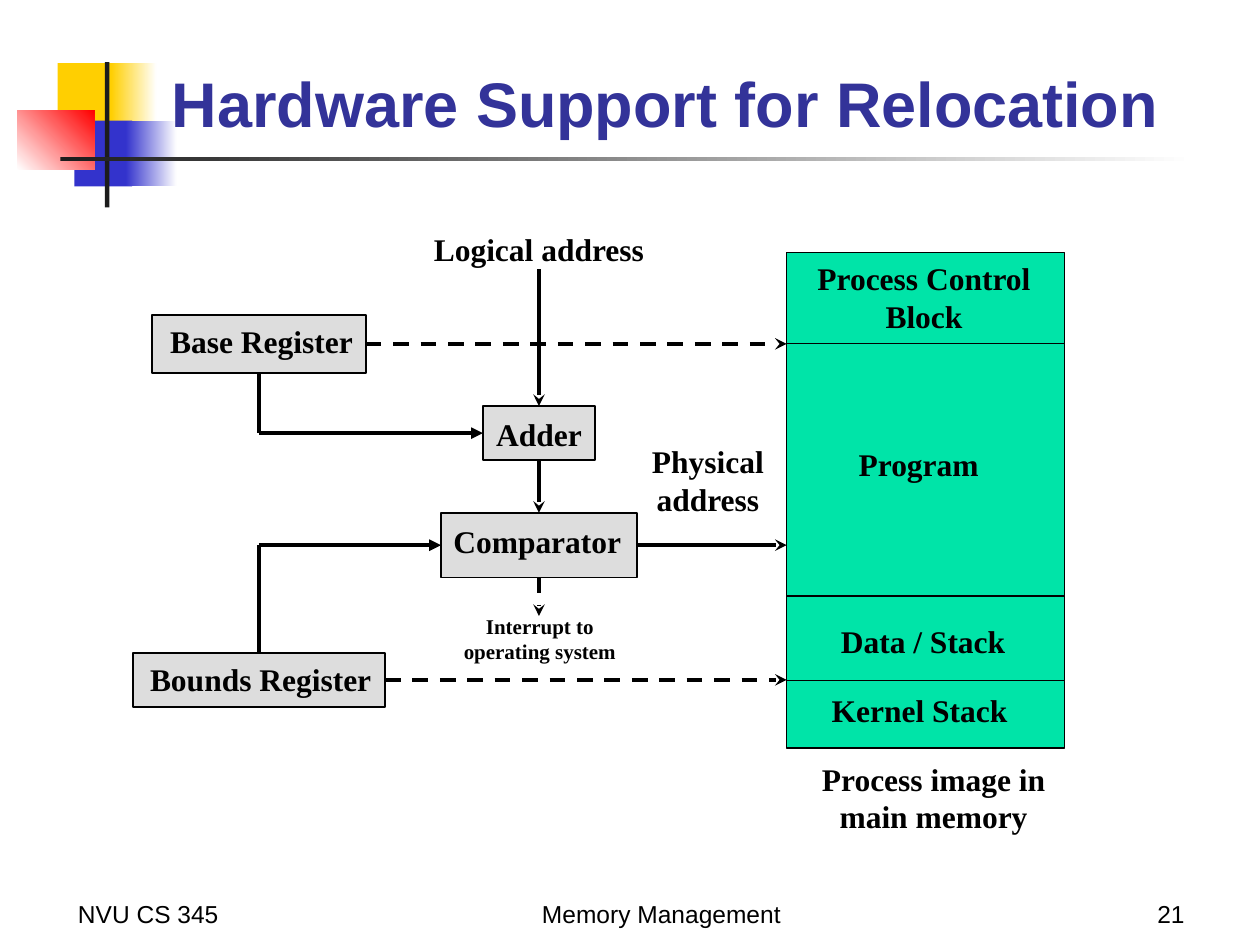
from lxml import etree
from pptx import Presentation
from pptx import util as u
from pptx.dml.color import RGBColor
from pptx.enum import dml, shapes, text
from pptx.oxml import ns

Pt = u.Pt
BLACK = RGBColor(0x00, 0x00, 0x00)
WHITE = RGBColor(0xFF, 0xFF, 0xFF)
CHARCOAL = RGBColor(0x1C, 0x1C, 0x1C)
YELLOW = RGBColor(0xFF, 0xCF, 0x01)
BLUE = RGBColor(0x33, 0x33, 0xCC)
RED = RGBColor(0xFF, 0x00, 0x00)
TITLE_BLUE = RGBColor(0x33, 0x33, 0x99)
GRAY = RGBColor(0xDD, 0xDD, 0xDD)
GREEN = RGBColor(0x00, 0xE4, 0xA8)

TOP, LEFT, BOTTOM, RIGHT = range(4)
ALIGN = text.PP_ALIGN
ANCHOR = text.MSO_ANCHOR


class DiagramSlide:
    sans = "Arial"
    serif = "Times New Roman"
    line_width = 2.25

    def __init__(self, presentation):
        self.slide = presentation.slides.add_slide(presentation.slide_layouts[6])

    def box(self, left, top, width, height, fill, border=None):
        shape = self.slide.shapes.add_shape(
            shapes.MSO_SHAPE.RECTANGLE, Pt(left), Pt(top), Pt(width), Pt(height))
        shape.shadow.inherit = False
        shape.fill.solid()
        shape.fill.fore_color.rgb = fill
        if border:
            shape.line.color.rgb = BLACK
            shape.line.width = Pt(border)
        else:
            shape.line.fill.background()
        return shape

    def fade(self, left, top, width, height, start, end, angle=0):
        """Add a borderless box with a two-colour gradient."""
        shape = self.box(left, top, width, height, start)
        shape.fill.gradient()
        shape.fill.gradient_angle = angle
        for stop, color, position in zip(shape.fill.gradient_stops, (start, end), (0, 1)):
            stop.color.rgb = color
            stop.position = position

    def text_box(self, content, left, top, width, height, size, font, align,
                 color=BLACK, bold=False, anchor=ANCHOR.BOTTOM, wrap=True):
        shape = self.slide.shapes.add_textbox(Pt(left), Pt(top), Pt(width), Pt(height))
        frame = shape.text_frame
        frame.text = content
        frame.word_wrap = wrap
        frame.vertical_anchor = anchor
        for paragraph in frame.paragraphs:
            paragraph.alignment = align
            for run in paragraph.runs:
                run.font.name = font
                run.font.size = Pt(size)
                run.font.bold = bold
                run.font.color.rgb = color
        return frame

    def label(self, content, center, top, width, size=18):
        """Add a bold diagram label centred on a given x."""
        height = 7.2 + 1.2 * size * len(content.split("\n"))
        frame = self.text_box(content, center - width / 2, top, width, height, size, self.serif,
                              ALIGN.CENTER, bold=True, anchor=ANCHOR.TOP, wrap=False)
        frame.auto_size = text.MSO_AUTO_SIZE.SHAPE_TO_FIT_TEXT

    def line(self, start, end, head=None, dashed=False):
        """Join two ends, each either (x, y) or (shape, side)."""
        joined = [not isinstance(point[0], (int, float)) for point in (start, end)]
        corners = [(0, 0) if is_joined else point
                   for is_joined, point in zip(joined, (start, end))]
        connector = self.slide.shapes.add_connector(
            shapes.MSO_CONNECTOR.STRAIGHT, *(Pt(value) for point in corners for value in point))
        if joined[0]:
            connector.begin_connect(*start)
        if joined[1]:
            connector.end_connect(*end)
        connector.line.color.rgb = BLACK
        connector.line.width = Pt(self.line_width)
        if dashed:
            connector.line.dash_style = dml.MSO_LINE.DASH
        properties = connector.element.spPr
        if head:
            outline = properties.find(ns.qn("a:ln"))
            etree.SubElement(outline, ns.qn("a:tailEnd"), type=head)
        etree.SubElement(properties, ns.qn("a:effectLst"))


def draw_theme(page):
    page.box(33, 36, 35, 37.5, YELLOW)
    page.fade(63.5, 36, 26, 37.5, YELLOW, WHITE)
    page.box(42.5, 69, 33, 37.5, BLUE)
    page.fade(72, 69, 29, 37.5, BLUE, WHITE)
    page.fade(10, 63, 44, 34, WHITE, RED, angle=45)
    page.box(60, 35.5, 2.5, 83, CHARCOAL)
    page.fade(34.5, 89.5, 648, 2.5, CHARCOAL, WHITE)
    page.text_box("Hardware Support for Relocation", 91, 15, 613, 68.5, 36, page.sans,
                  ALIGN.LEFT, color=TITLE_BLUE, bold=True)
    footers = (("NVU CS 345", 37.5, 150, ALIGN.LEFT),
               ("Memory Management", 264, 228, ALIGN.CENTER),
               ("21", 534, 150, ALIGN.RIGHT))
    for content, left, width, align in footers:
        page.text_box(content, left, 498, width, 36, 14, page.sans, align)


def draw_memory(page, left):
    """Stack the process image; label offsets run from each block's top."""
    top = 144.5
    blocks = (("Process Control\nBlock", 52, 0, 528, 137),
              ("Program", 144, 54, 525, 83.5),
              ("Data / Stack", 48.5, 11.5, 527.5, 109),
              ("Kernel Stack", 38.5, 2.5, 525.5, 115))
    for content, height, offset, center, width in blocks:
        page.box(left, top, 159, height, GREEN, 0.75)
        page.label(content, center, top + offset, width)
        top += height
    page.label("Process image in\nmain memory", 533.5, 430.5, 142.5)


def draw_hardware(page, memory_left):
    units = (("Adder", 276, 232, 64, 31, 308, 233.5),
             ("Comparator", 252, 293, 112, 37, 307, 294.5),
             ("Base Register", 87, 180, 122, 33, 149.5, 180.5),
             ("Bounds Register", 76, 373, 144, 31, 149, 373.5))
    boxes = []
    for content, left, top, width, height, center, label_top in units:
        boxes.append(page.box(left, top, width, height, GRAY, 1))
        page.label(content, center, label_top, width)
    adder, comparator, base, bounds = boxes

    base_corner, bounds_corner = (148, 247.5), (148, 311.5)
    page.line((base, BOTTOM), base_corner)
    page.line(base_corner, (adder, LEFT), "triangle")
    page.line((bounds, TOP), bounds_corner)
    page.line(bounds_corner, (comparator, LEFT), "triangle")
    page.line((308, 154), (adder, TOP), "stealth")
    page.line((adder, BOTTOM), (comparator, TOP), "stealth")
    page.line((comparator, RIGHT), (memory_left, 311.5), "stealth")
    page.line((comparator, BOTTOM), (308, 352), "stealth", dashed=True)
    page.line((base, RIGHT), (memory_left, 196.5), "stealth", dashed=True)
    page.line((bounds, RIGHT), (memory_left, 388.5), "stealth", dashed=True)

    page.label("Logical address", 308, 128, 136)
    page.label("Physical\naddress", 404.5, 249, 79)
    page.label("Interrupt to\noperating system", 308.5, 347, 101.5, size=12)


def main():
    presentation = Presentation()
    presentation.slide_width, presentation.slide_height = Pt(720), Pt(540)
    page = DiagramSlide(presentation)
    memory_left = 449.5
    draw_theme(page)
    draw_memory(page, memory_left)
    draw_hardware(page, memory_left)
    presentation.save("out.pptx")


if __name__ == "__main__":
    main()
